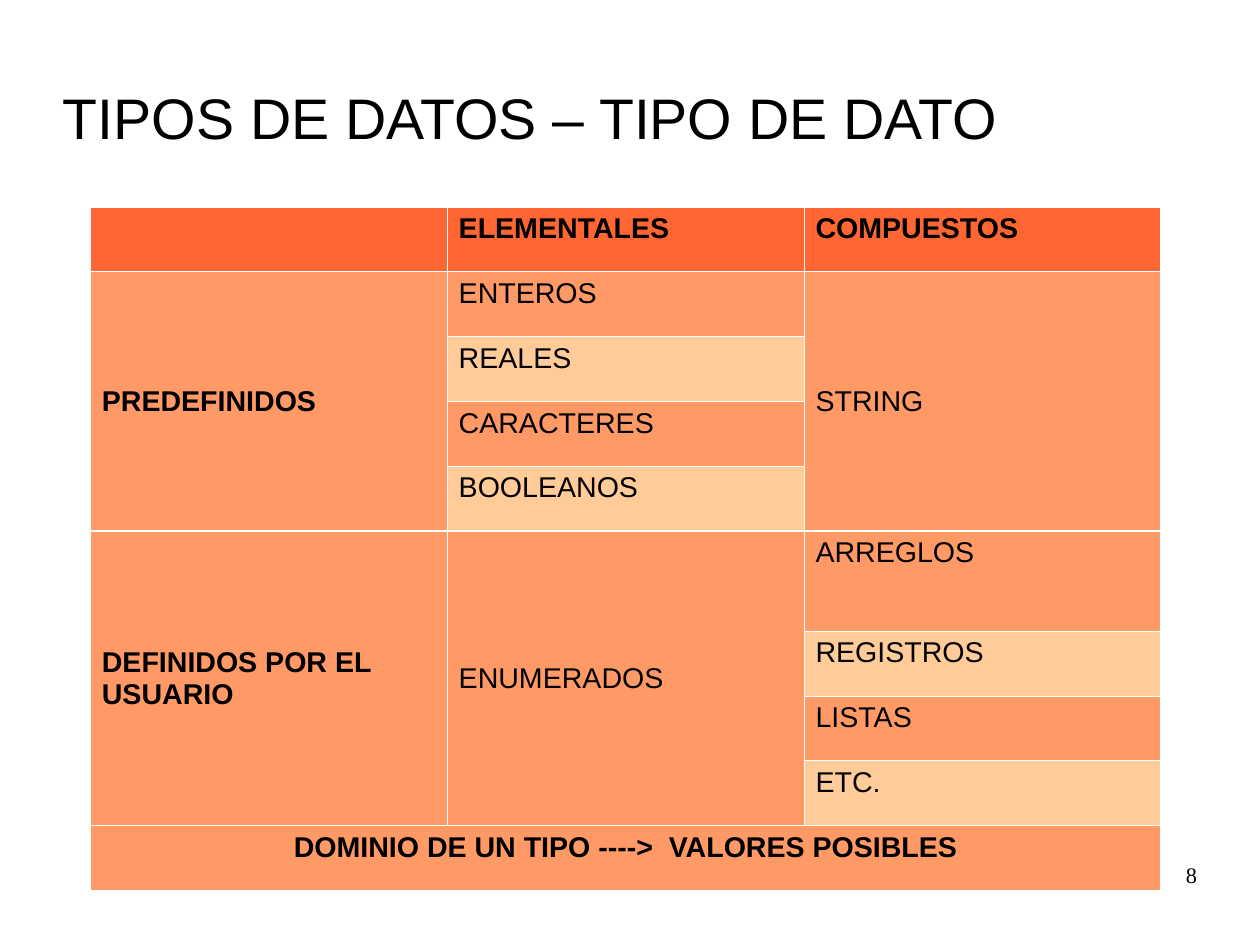
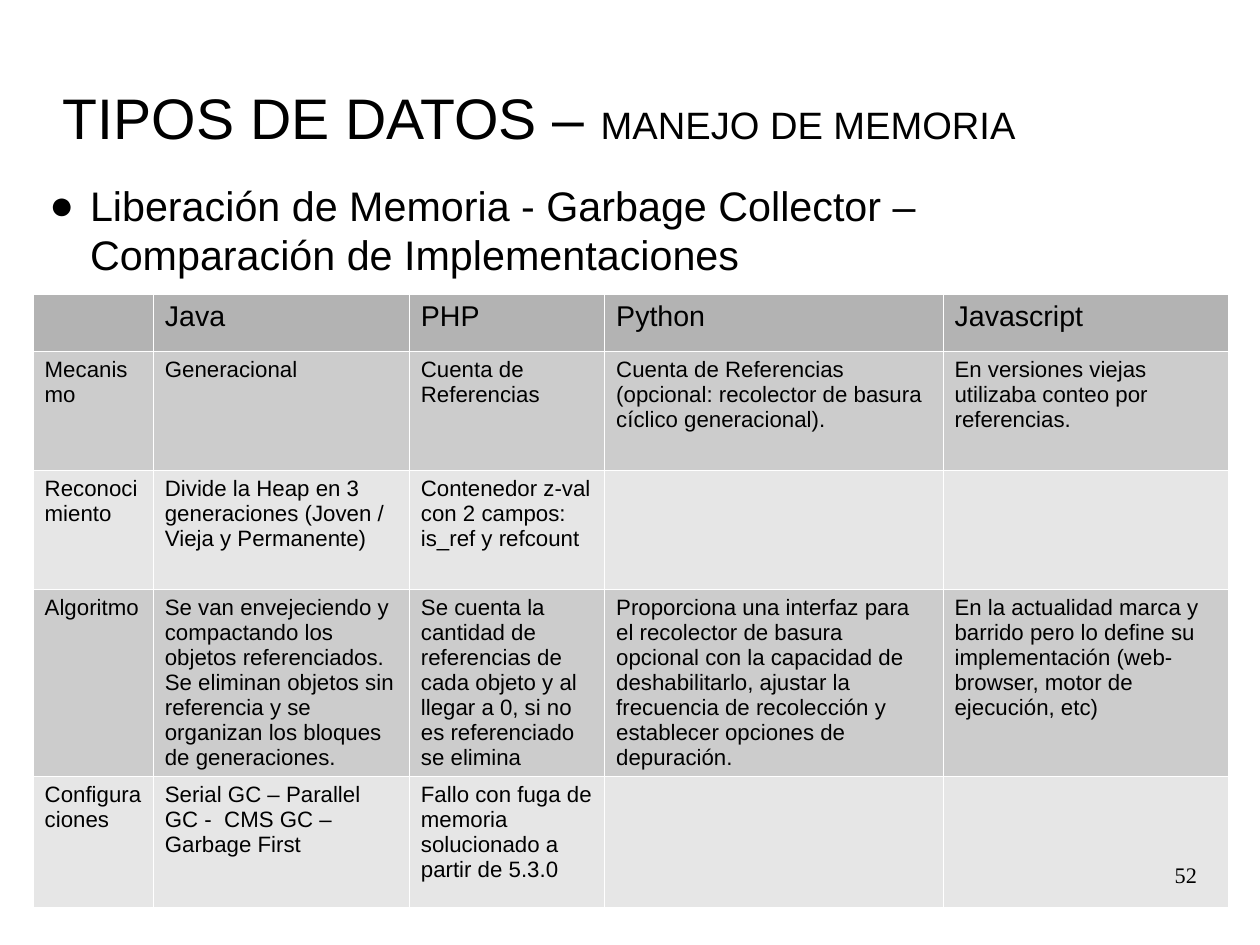
"""Builds two slides on data types and memory management."""
from dataclasses import dataclass

from lxml.etree import SubElement
from pptx import Presentation
from pptx.dml.color import RGBColor
from pptx.enum.text import MSO_ANCHOR, MSO_AUTO_SIZE, PP_ALIGN
from pptx.oxml.ns import qn
from pptx.util import Cm, Pt


@dataclass(frozen=True)
class Theme:
    font: str = "Arial"
    number_font: str = "Times New Roman"
    text: str = "000000"
    border: str = "FFFFFF"
    border_width: int = Pt(0.75)
    orange: tuple = ("FF6633", "FF9966", "FFCC99")
    gray: tuple = ("B3B3B3", "CCCCCC", "E6E6E6")
    title_size: int = 36
    subtitle_size: int = 24
    body_size: int = 26
    heading_size: int = 18
    detail_size: int = 14


THEME = Theme()
TITLE_ONLY, TITLE_AND_BODY = 5, 1

TYPES = {
    "place": (2.01, 4.6),
    "columns": [7.93] * 3,
    "rows": [1.44] * 5 + [2.23] + [1.44] * 4,
    "fills": THEME.orange,
    "detail_size": THEME.heading_size,
    "bold_labels": True,
    "merges": [(1, 0, 4, 0), (1, 2, 4, 2), (5, 0, 8, 0), (5, 1, 8, 1), (9, 0, 9, 2)],
    "cells": [
        ("", "ELEMENTALES", "COMPUESTOS"),
        ("PREDEFINIDOS", "ENTEROS", "STRING"),
        ("", "REALES", ""),
        ("", "CARACTERES", ""),
        ("", "BOOLEANOS", ""),
        ("DEFINIDOS POR EL USUARIO", "ENUMERADOS", "ARREGLOS"),
        ("", "", "REGISTROS"),
        ("", "", "LISTAS"),
        ("", "", "ETC."),
        ("DOMINIO DE UN TIPO ---->  VALORES POSIBLES", "", ""),
    ],
}

COLLECTORS = {
    "place": (0.74, 6.55),
    "columns": [2.67, 5.69, 4.34, 7.52, 6.35],
    "rows": [1.27, 2.64, 2.64, 4.16, 2.9],
    "fills": THEME.gray,
    "detail_size": THEME.detail_size,
    "bold_labels": False,
    "merges": [],
    "cells": [
        ("", "Java", "PHP", "Python", "Javascript"),
        ("Mecanismo", "Generacional", "Cuenta de Referencias",
         "Cuenta de Referencias\n(opcional: recolector de basura cíclico generacional).",
         "En versiones viejas utilizaba conteo por referencias."),
        ("Reconocimiento",
         "Divide la Heap en 3 generaciones (Joven / Vieja y Permanente)",
         "Contenedor z-val con 2 campos: is_ref y refcount", "", ""),
        ("Algoritmo",
         "Se van envejeciendo y compactando los objetos referenciados. "
         "Se eliminan objetos sin referencia y se organizan los bloques de generaciones.",
         "Se cuenta la cantidad de referencias de cada objeto y al llegar a 0, "
         "si no es referenciado se elimina",
         "Proporciona una interfaz para el recolector de basura opcional con la capacidad "
         "de deshabilitarlo, ajustar la frecuencia de recolección y establecer opciones "
         "de depuración.",
         "En la actualidad marca y barrido pero lo define su implementación "
         "(web-browser, motor de ejecución, etc)"),
        ("Configuraciones", "Serial GC – Parallel GC -  CMS GC – Garbage First",
         "Fallo con fuga de memoria solucionado a partir de 5.3.0", "", ""),
    ],
}

SLIDES = [
    {"layout": TITLE_ONLY, "title": ("TIPOS DE DATOS – TIPO DE DATO", ""),
     "title_width": 21.4, "table": TYPES, "number": "8"},
    {"layout": TITLE_AND_BODY, "title": ("TIPOS DE DATOS – ", "MANEJO DE MEMORIA"),
     "title_width": 25.8, "table": COLLECTORS, "number": "52",
     "body": "Liberación de Memoria - Garbage Collector – Comparación de Implementaciones"},
]


def style(paragraph, size, name=THEME.font, bold=False, align=PP_ALIGN.LEFT):
    paragraph.alignment = align
    font = paragraph.font
    font.name, font.size, font.bold = name, Pt(size), bold
    font.color.rgb = RGBColor.from_string(THEME.text)


def prepare(shape, left, top, width, height, anchor=MSO_ANCHOR.TOP):
    shape.left, shape.top, shape.width, shape.height = map(Cm, (left, top, width, height))
    frame = shape.text_frame
    frame.margin_left = frame.margin_top = frame.margin_right = frame.margin_bottom = 0
    frame.word_wrap, frame.auto_size = True, MSO_AUTO_SIZE.NONE
    frame.vertical_anchor = anchor
    return frame.paragraphs[0]


def add_title(slide, parts, width):
    paragraph = prepare(slide.shapes.title, 1.4, 1.6, width, 2, MSO_ANCHOR.MIDDLE)
    main, detail = parts
    paragraph.add_run().text = main
    style(paragraph, THEME.title_size)
    if detail:
        run = paragraph.add_run()
        run.text, run.font.size = detail, Pt(THEME.subtitle_size)


def add_body(slide, text):
    paragraph = prepare(slide.placeholders[1], 0.8, 4, 25.2, 14.6)
    paragraph.text = text
    paragraph.space_before = Pt(0)
    properties = paragraph._p.get_or_add_pPr()
    properties.set("marL", str(Cm(1.2)))
    properties.set("indent", str(Cm(-0.9)))
    SubElement(properties, qn("a:buChar"), char="●")
    style(paragraph, THEME.body_size)


def add_number(slide, text):
    box = slide.shapes.add_textbox(0, 0, 0, 0)
    paragraph = prepare(box, 20.07, 19.13, 6.53, 1.45)
    paragraph.text = text
    style(paragraph, THEME.detail_size, THEME.number_font, align=PP_ALIGN.RIGHT)


def add_borders(cell):
    properties = cell._tc.get_or_add_tcPr()
    for side in ("L", "R", "T", "B"):
        line = SubElement(properties, qn(f"a:ln{side}"), w=str(THEME.border_width))
        SubElement(SubElement(line, qn("a:solidFill")), qn("a:srgbClr"), val=THEME.border)


def add_table(slide, data):
    cells, columns, rows = data["cells"], data["columns"], data["rows"]
    left, top = data["place"]
    table = slide.shapes.add_table(
        len(rows), len(columns), Cm(left), Cm(top), Cm(sum(columns)), Cm(sum(rows))).table
    table.first_row = table.horz_banding = False
    for column, width in zip(table.columns, columns):
        column.width = Cm(width)
    for row, height in zip(table.rows, rows):
        row.height = Cm(height)
    header, odd, even = data["fills"]
    for row_index, texts in enumerate(cells):
        fill = header if row_index == 0 else odd if row_index % 2 else even
        size = THEME.heading_size if row_index == 0 else data["detail_size"]
        for column_index, text in enumerate(texts):
            cell = table.cell(row_index, column_index)
            add_borders(cell)
            cell.fill.solid()
            cell.fill.fore_color.rgb = RGBColor.from_string(fill)
            cell.text = text
            bold = data["bold_labels"] and 0 in (row_index, column_index)
            for paragraph in cell.text_frame.paragraphs:
                style(paragraph, size, bold=bold)
    for first_row, first_column, last_row, last_column in data["merges"]:
        cell = table.cell(first_row, first_column)
        cell.merge(table.cell(last_row, last_column))
        if last_row > first_row:
            cell.vertical_anchor = MSO_ANCHOR.MIDDLE
        else:
            cell.text_frame.paragraphs[0].alignment = PP_ALIGN.CENTER


def main():
    presentation = Presentation()
    presentation.slide_width, presentation.slide_height = Cm(28), Cm(21)
    for content in SLIDES:
        slide = presentation.slides.add_slide(presentation.slide_layouts[content["layout"]])
        add_title(slide, content["title"], content["title_width"])
        if "body" in content:
            add_body(slide, content["body"])
        add_table(slide, content["table"])
        add_number(slide, content["number"])
    presentation.save("out.pptx")


if __name__ == "__main__":
    main()
